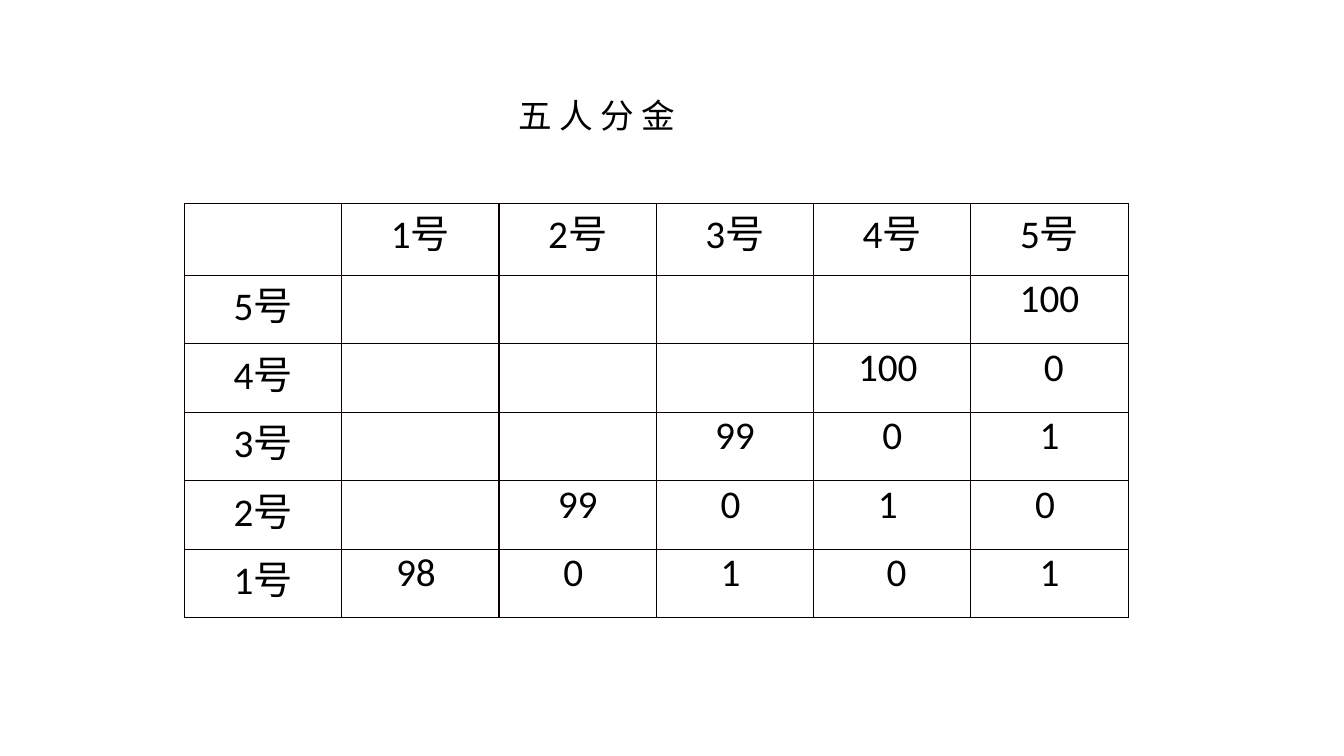
from dataclasses import dataclass

from lxml.etree import SubElement as Sub
from pptx import Presentation
from pptx.dml.color import RGBColor
from pptx.enum.text import MSO_ANCHOR as Anchor, MSO_AUTO_SIZE as Fit, PP_ALIGN as Align
from pptx.oxml.ns import qn
from pptx.slide import Slide
from pptx.table import _Cell as Cell
from pptx.text.text import _Paragraph as Para
from pptx.util import Inches, Pt

BLACK = RGBColor(0, 0, 0)
WHITE = RGBColor(255, 255, 255)
EDGE = RGBColor(8, 0, 0)
LATIN = "Calibri"
HAN = "Noto Sans CJK SC"


@dataclass(frozen=True)
class Share:
    giver: int
    golds: tuple[str, ...]


SHARES = [
    Share(5, ("100",)),
    Share(4, ("100 ", " 0")),
    Share(3, ("99", "0", "1")),
    Share(2, ("99", "0 ", "1 ", "0 ")),
    Share(1, ("98 ", "0 ", "1 ", " 0", "1")),
]
COUNT = len(SHARES)


def add_run(para: Para, text: str, face: str, size: int) -> None:
    run = para.add_run()
    run.text = text
    run.font.name = face
    run.font.size = Pt(size)
    run.font.color.rgb = BLACK
    if face == HAN:
        Sub(run.font._element, qn("a:ea"), typeface=face)


def add_edges(cell: Cell) -> None:
    props = cell._tc.get_or_add_tcPr()
    for place, side in enumerate(("a:lnL", "a:lnR", "a:lnT", "a:lnB")):
        line = Sub(props, qn(side), w=str(Pt(1)))
        fill = Sub(line, qn("a:solidFill"))
        Sub(fill, qn("a:srgbClr"), val=str(EDGE))
        props.insert(place, line)


def style_cell(cell: Cell) -> Para:
    cell.margin_left = cell.margin_right = 0
    cell.margin_top = cell.margin_bottom = 0
    cell.vertical_anchor = Anchor.TOP
    cell.fill.solid()
    cell.fill.fore_color.rgb = WHITE
    add_edges(cell)
    para = cell.text_frame.paragraphs[0]
    para.alignment = Align.CENTER
    return para


def add_label(para: Para, number: int) -> None:
    add_run(para, str(number), LATIN, 28)
    add_run(para, "号", HAN, 28)


def add_title(slide: Slide) -> None:
    title = slide.shapes.title
    title.left, title.top = Inches(5.04), Inches(0.89)
    title.width, title.height = Inches(5.26), Inches(0.5)
    frame = title.text_frame
    frame.word_wrap = True
    frame.auto_size = Fit.SHAPE_TO_FIT_TEXT
    frame.vertical_anchor = Anchor.TOP
    para = frame.paragraphs[0]
    para.alignment = Align.LEFT
    add_run(para, "五 人 分 金", HAN, 24)


def add_grid(slide: Slide) -> None:
    size = COUNT + 1
    table = slide.shapes.add_table(
        size, size, Inches(1.83), Inches(2.02), Inches(9.36), Inches(4.11)
    ).table
    for col in table.columns:
        col.width = Inches(1.56)
    for row in table.rows:
        row.height = Inches(0.68)
    table.rows[0].height = Inches(0.71)
    paras = [[style_cell(cell) for cell in row.cells] for row in table.rows]
    for number in range(1, size):
        add_label(paras[0][number], number)
    for line, share in zip(paras[1:], SHARES):
        add_label(line[0], share.giver)
        for para, gold in zip(line[share.giver:], share.golds):
            add_run(para, gold, LATIN, 28)


def main() -> None:
    deck = Presentation()
    deck.slide_width, deck.slide_height = Inches(13.33), Inches(7.5)
    slide = deck.slides.add_slide(deck.slide_layouts[5])
    add_grid(slide)
    add_title(slide)
    deck.save("out.pptx")


if __name__ == "__main__":
    main()
